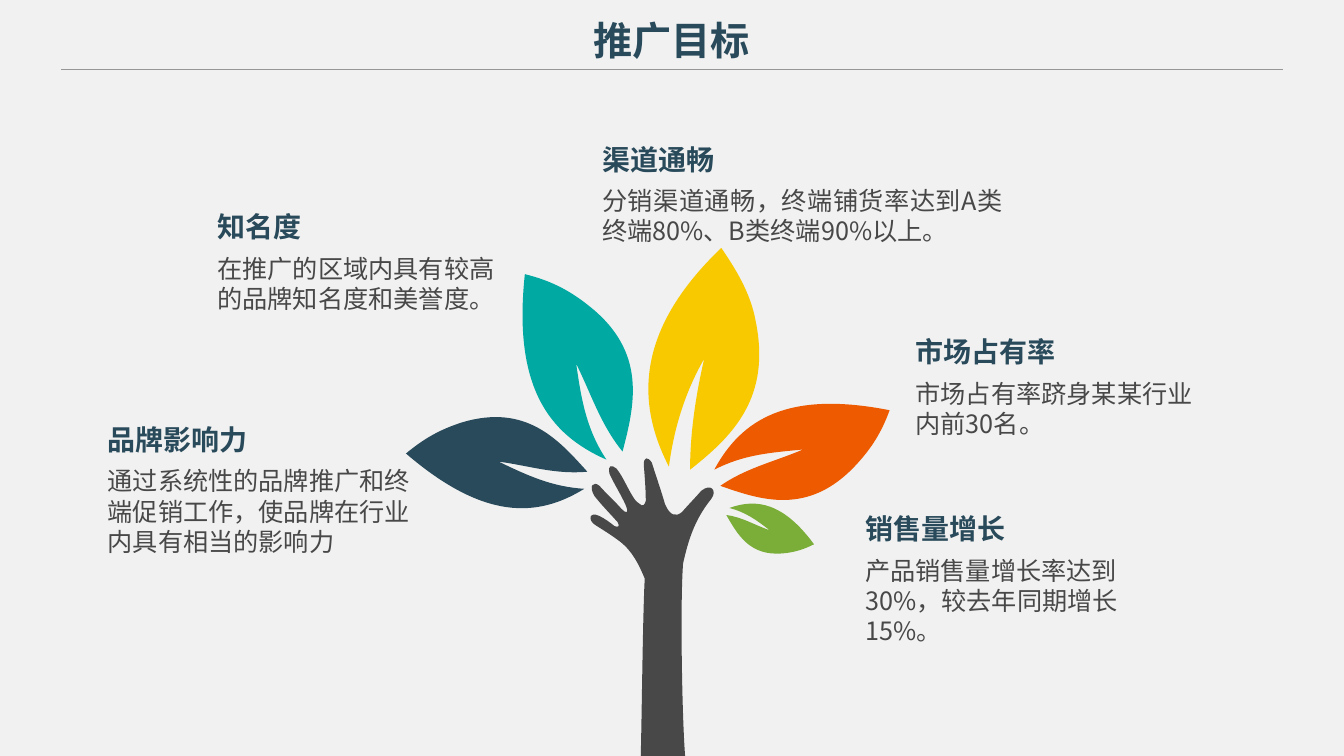
import lxml.etree
import pptx
import pptx.dml.color
import pptx.enum.shapes
import pptx.enum.text
import pptx.oxml.ns
import pptx.util

PX = 9144
FONT = "Noto Sans CJK SC"
NAVY, GREY = "294A5A", "484849"
CURVE_STEPS = 20
ALIGN = pptx.enum.text.PP_ALIGN

LEAVES = [
    ("F9C900", [(716, 246), (628, 330), (633, 403), (664, 463), (669, 425), (680, 389), (699, 356),
                (691, 391), (685, 428), (685, 466), (727, 433), (766, 395), (750, 318),
                (745, 291), (731, 268), (716, 246)]),
    ("00AAA2", [(521, 272), (509, 384), (545, 431), (602, 456), (582, 426), (577, 396), (572, 361),
                (587, 391), (596, 421), (618, 448), (630, 402), (643, 349), (584, 303),
                (564, 287), (545, 278), (521, 272)]),
    (NAVY, [(403, 450), (480, 516), (533, 514), (580, 485), (548, 483), (524, 472), (495, 458),
            (525, 462), (551, 471), (583, 468), (555, 437), (523, 400), (459, 419),
            (437, 426), (421, 435), (403, 450)]),
    ("ED5A00", [(883, 407), (782, 387), (736, 416), (709, 466), (738, 451), (765, 449), (797, 446),
                (769, 458), (741, 464), (715, 482), (755, 496), (802, 512), (849, 462),
                (865, 445), (875, 429), (883, 407)]),
    ("7AAE39", [(808, 540), (778, 499), (751, 494), (724, 504), (740, 508), (751, 516), (764, 526),
                (749, 521), (737, 513), (721, 511), (732, 530), (744, 552), (777, 549),
                (789, 548), (798, 545), (808, 540)]),
]

HAND = [
    (706, 495), (689, 516), (683, 537), (678, 559), (675, 599), (677, 711), (680, 750),
    (666, 750), (651, 750), (636, 750), (637, 716), (638, 608), (640, 574),
    (634, 560), (628, 547), (615, 537), (607, 531), (599, 526), (591, 521),
    (583, 516), (585, 507), (595, 512), (601, 515), (605, 518), (610, 522),
    (613, 523), (616, 523), (613, 518), (605, 509), (597, 501), (590, 492),
    (584, 482), (589, 477), (595, 482), (602, 490), (610, 497), (617, 505),
    (621, 509), (625, 511), (621, 501), (616, 490), (610, 481), (605, 470),
    (603, 461), (607, 461), (612, 465), (619, 474), (622, 483), (629, 494),
    (631, 497), (633, 499), (635, 500), (638, 503), (640, 501), (641, 497),
    (641, 486), (640, 473), (639, 461), (639, 453), (643, 453), (647, 459),
    (651, 472), (656, 486), (660, 500), (665, 512), (671, 513), (677, 508),
    (683, 501), (690, 494), (696, 487), (706, 479), (712, 487), (706, 495),
]

GOALS = [
    (97, 414, 331, "品牌影响力", "通过系统性的品牌推广和终端促销工作，使品牌在行业内具有相当的影响力", ALIGN.LEFT),
    (206, 203, 304, "知名度", "在推广的区域内具有较高的品牌知名度和美誉度。", ALIGN.LEFT),
    (588, 136, 417, "渠道通畅", "分销渠道通畅，终端铺货率达到A类终端80%、B类终端90%以上。", ALIGN.JUSTIFY),
    (899, 327, 304, "市场占有率", "市场占有率跻身某某行业内前30名。", ALIGN.LEFT),
    (849, 503, 330, "销售量增长", "产品销售量增长率达到30%，较去年同期增长15%。", ALIGN.LEFT),
]


def rgb(value):
    """Turn a hex string into a colour."""
    return pptx.dml.color.RGBColor.from_string(value)


def add_element(parent, tag, **attributes):
    """Append an XML element such as a:ea with its attributes."""
    element = lxml.etree.SubElement(parent, pptx.oxml.ns.qn(tag))
    for name, value in attributes.items():
        element.set(name, str(value))
    return element


def curve_points(points):
    """Sample a chain of cubic curves to find the room it takes."""
    sampled = []
    for first in range(0, len(points) - 1, 3):
        curve = points[first:first + 4]
        for step in range(1, CURVE_STEPS + 1):
            t = step / CURVE_STEPS
            weights = ((1 - t) ** 3, 3 * t * (1 - t) ** 2, 3 * t * t * (1 - t), t ** 3)
            sampled.append(tuple(
                round(PX * sum(w * p for w, p in zip(weights, axis))) for axis in zip(*curve)))
    return sampled


def add_outline(slide, color, points):
    """Draw a filled outline of cubic curves: a start, then three points per curve."""
    left, top = points[0]
    builder = slide.shapes.build_freeform(left * PX, top * PX, scale=1.0)
    builder.add_line_segments(curve_points(points), close=True)
    shape = builder.convert_to_shape()
    outline = shape._element.find(".//" + pptx.oxml.ns.qn("a:path"))
    for segment in list(outline):
        outline.remove(segment)
    segments = [("a:moveTo", points[:1])]
    segments += [("a:cubicBezTo", points[i:i + 3]) for i in range(1, len(points), 3)]
    for tag, corners in segments:
        segment = add_element(outline, tag)
        for x, y in corners:
            add_element(segment, "a:pt", x=x * PX - shape.left, y=y * PX - shape.top)
    add_element(outline, "a:close")
    shape.shadow.inherit = False
    shape.fill.solid()
    shape.fill.fore_color.rgb = rgb(color)
    shape.line.fill.background()


def add_text(slide, box, text, size, color, bold=False, align=ALIGN.LEFT):
    """Add a wrapped text box with one paragraph and no hanging punctuation."""
    shape = slide.shapes.add_textbox(*(length * PX for length in box))
    frame = shape.text_frame
    frame.word_wrap = True
    frame.auto_size = pptx.enum.text.MSO_AUTO_SIZE.SHAPE_TO_FIT_TEXT
    paragraph = frame.paragraphs[0]
    paragraph.alignment = align
    paragraph._p.get_or_add_pPr().set("hangingPunct", "0")
    run = paragraph.add_run()
    run.text = text
    run.font.color.rgb = rgb(color)
    formats = {"size": pptx.util.Pt(size), "bold": bold, "name": FONT}
    for name, value in formats.items():
        setattr(run.font, name, value)
    add_element(run.font._element, "a:ea", typeface=FONT)


def add_goal(slide, left, top, width, heading, body, align):
    """Add a goal heading with its explanation below."""
    add_text(slide, (left, top, 218, 44), heading, 20, NAVY, bold=True)
    add_text(slide, (left, top + 43, width, 71), body, 18, GREY, align=align)


def add_rule(slide, left, right, top):
    """Draw the thin rule under the title."""
    connector = slide.shapes.add_connector(
        pptx.enum.shapes.MSO_CONNECTOR.STRAIGHT, left * PX, top * PX, right * PX, top * PX)
    connector.line.color.rgb = rgb("969696")
    connector.line.width = pptx.util.Pt(0.75)
    add_element(connector._element.spPr, "a:effectLst")


def main():
    """Build the slide and save it."""
    presentation = pptx.Presentation()
    presentation.slide_width = 1334 * PX
    presentation.slide_height = 750 * PX
    slide = presentation.slides.add_slide(presentation.slide_layouts[6])
    slide.background.fill.solid()
    slide.background.fill.fore_color.rgb = rgb("F1F1F1")
    add_text(slide, (387, 11, 559, 57), "推广目标", 28, NAVY, bold=True, align=ALIGN.CENTER)
    for color, points in LEAVES:
        add_outline(slide, color, points)
    add_outline(slide, GREY, HAND)
    for goal in GOALS:
        add_goal(slide, *goal)
    add_rule(slide, 61, 1273, 69)
    presentation.save("out.pptx")


if __name__ == "__main__":
    main()
